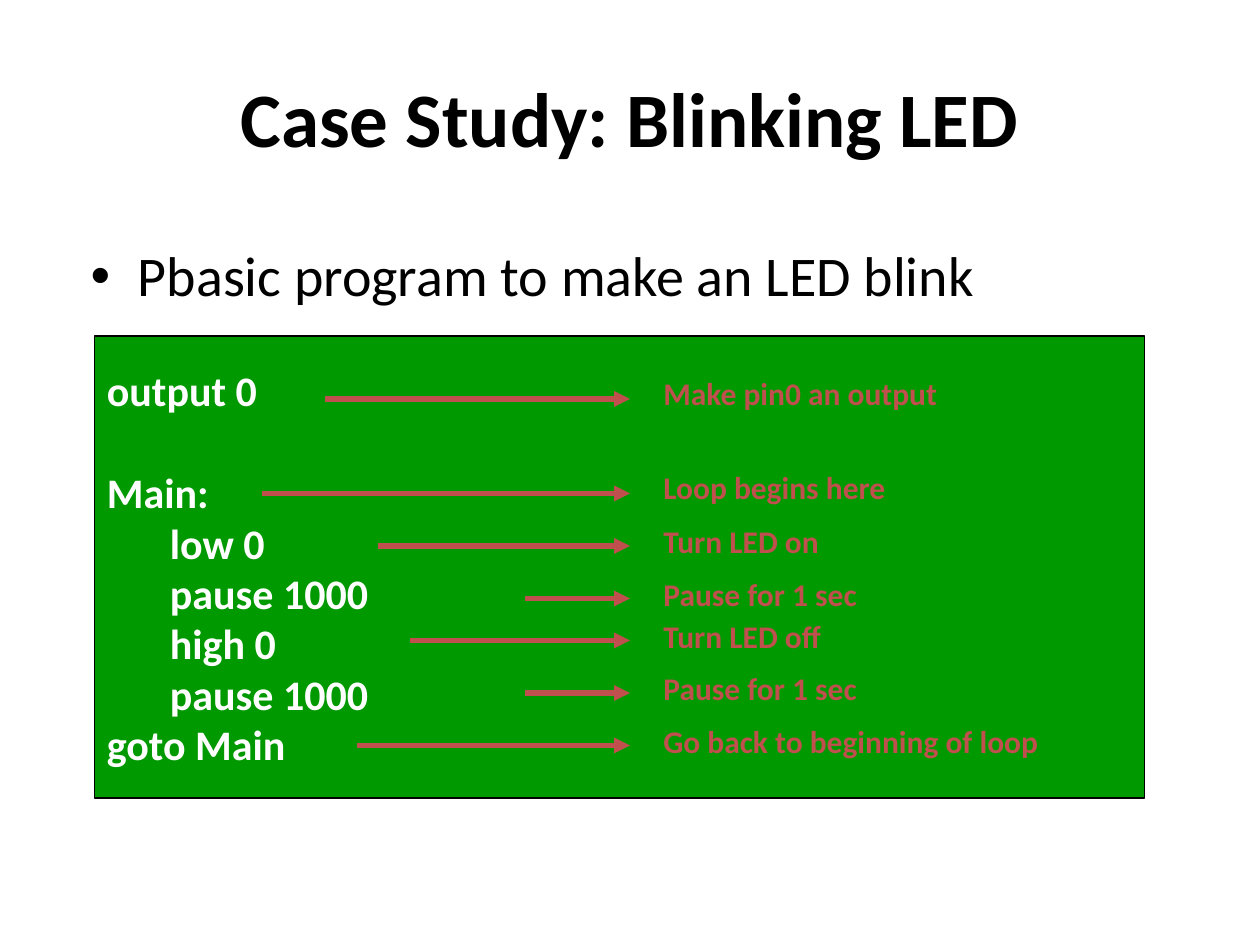
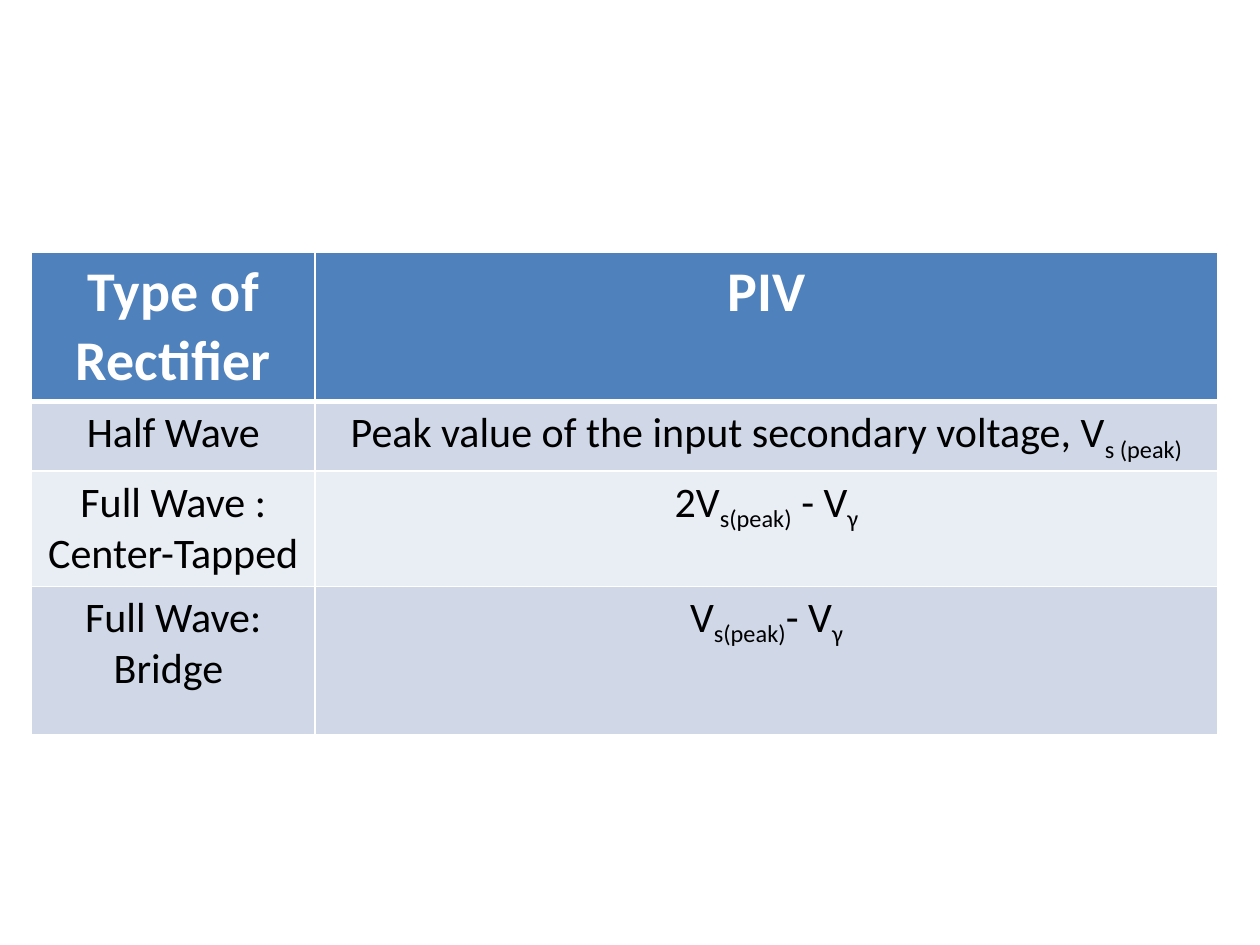
"""Builds two slides: an annotated LED program and a table of rectifier PIV values."""
from dataclasses import dataclass

from lxml.etree import SubElement
from pptx import Presentation
from pptx.dml.color import RGBColor
from pptx.enum.shapes import MSO_CONNECTOR, MSO_SHAPE
from pptx.enum.text import MSO_ANCHOR, MSO_AUTO_SIZE, PP_ALIGN
from pptx.oxml.ns import qn
from pptx.util import Pt

FONT = "Calibri"
COLORS = {
    "text": "000000",
    "white": "FFFFFF",
    "code": "009900",
    "note": "C0504D",
    "header": "4F81BD",
    "odd": "D0D8E8",
    "even": "E9EDF4",
}
ARROW_END = 360
NOTE_LEFT = 372
CODE_LINE_HEIGHT = 29.3


@dataclass(frozen=True)
class Note:
    text: str
    top: float
    arrow_start: float
    arrow_y: float
    width: float = 234
    height: float = 29


@dataclass(frozen=True)
class Span:
    text: str
    subscript: bool = False


CODE = ("output 0", "Main:", "\tlow 0", "\tpause 1000", "\thigh 0", "\tpause 1000", "goto Main")
NOTES = (
    Note("Make pin0 an output", 210, 186, 228),
    Note("Loop begins here", 264, 150, 282),
    Note("Turn LED on", 295, 216, 312),
    Note("Pause for 1 sec", 325, 300, 342),
    Note("Turn LED off", 349, 234, 366),
    Note("Pause for 1 sec", 379, 300, 396),
    Note("Go back to beginning of loop", 409, 204, 426, 288, 50),
)
PEAK = Span("s(peak)", True)
GAMMA = Span("γ", True)
RECTIFIERS = (
    ((Span("Type of Rectifier"),), (Span("PIV"),)),
    (
        (Span("Half Wave"),),
        (Span("Peak value of the input secondary voltage, V"), Span("s (peak)", True)),
    ),
    ((Span("Full Wave : Center-Tapped"),), (Span("2V"), PEAK, Span(" - V"), GAMMA)),
    ((Span("Full Wave: Bridge "),), (Span("V"), PEAK, Span("- V"), GAMMA)),
)
COLUMN_WIDTHS = (162, 516)
ROW_HEIGHTS = (84, 36, 65, 85)


def rgb(name: str) -> RGBColor:
    return RGBColor.from_string(COLORS[name])


def add_span(para, content: Span, size: float, color: str, bold: bool = False) -> None:
    span = para.add_run()
    span.text = content.text
    span.font.name = FONT
    span.font.size = Pt(size)
    span.font.bold = bold
    span.font.color.rgb = rgb(color)
    if content.subscript:
        span._r.get_or_add_rPr().set("baseline", "-25000")


def place(shape, left: float, top: float, width: float, height: float) -> None:
    shape.left, shape.top, shape.width, shape.height = map(Pt, (left, top, width, height))


def fill_placeholders(page, title: str, bullet: str) -> None:
    heading, body = page.shapes.title, page.placeholders[1]
    place(heading, 36, 21.6, 648, 90)
    place(body, 44.6, 138, 630, 42)
    for box in (heading, body):
        box.text_frame.auto_size = MSO_AUTO_SIZE.NONE
    heading.text_frame.vertical_anchor = MSO_ANCHOR.MIDDLE
    heading_para = heading.text_frame.paragraphs[0]
    heading_para.alignment = PP_ALIGN.CENTER
    add_span(heading_para, Span(title), 44, "text", True)
    para = body.text_frame.paragraphs[0]
    para.line_spacing = 0.9
    para.space_before = Pt(0)
    add_span(para, Span(bullet), 32, "text")


def add_code(page) -> None:
    box = page.shapes.add_shape(MSO_SHAPE.RECTANGLE, Pt(54), Pt(192), Pt(600), Pt(264))
    box.shadow.inherit = False
    box.fill.solid()
    box.fill.fore_color.rgb = rgb("code")
    box.line.color.rgb = rgb("text")
    box.line.width = Pt(0.75)
    frame = box.text_frame
    frame.word_wrap = True
    frame.vertical_anchor = MSO_ANCHOR.MIDDLE
    for index, line in enumerate(CODE):
        para = frame.add_paragraph() if index else frame.paragraphs[0]
        para.alignment = PP_ALIGN.LEFT
        if line == "Main:":
            para.space_before = Pt(CODE_LINE_HEIGHT)
        add_span(para, Span(line), 24, "white", True)


def add_note(page, note: Note) -> None:
    arrow = page.shapes.add_connector(
        MSO_CONNECTOR.STRAIGHT,
        Pt(note.arrow_start), Pt(note.arrow_y), Pt(ARROW_END), Pt(note.arrow_y),
    )
    arrow.line.color.rgb = rgb("note")
    arrow.line.width = Pt(3)
    SubElement(arrow.line._get_or_add_ln(), qn("a:tailEnd"), type="triangle")
    SubElement(arrow._element.spPr, qn("a:effectLst"))
    box = page.shapes.add_textbox(Pt(NOTE_LEFT), Pt(note.top), Pt(note.width), Pt(note.height))
    box.text_frame.word_wrap = True
    box.text_frame.auto_size = MSO_AUTO_SIZE.SHAPE_TO_FIT_TEXT
    add_span(box.text_frame.paragraphs[0], Span(note.text), 18, "note", True)


def add_borders(cell, row: int) -> None:
    widths = {"L": 1, "R": 1, "T": 3 if row == 1 else 1, "B": 3 if row == 0 else 1}
    for side, width in widths.items():
        line = SubElement(cell._tc.get_or_add_tcPr(), qn(f"a:ln{side}"), w=str(Pt(width)))
        solid = SubElement(line, qn("a:solidFill"))
        SubElement(solid, qn("a:srgbClr"), val=COLORS["white"])


def add_rectifier_table(page) -> None:
    table = page.shapes.add_table(
        len(ROW_HEIGHTS), len(COLUMN_WIDTHS),
        Pt(18), Pt(144), Pt(sum(COLUMN_WIDTHS)), Pt(sum(ROW_HEIGHTS)),
    ).table
    for column, width in zip(table.columns, COLUMN_WIDTHS):
        column.width = Pt(width)
    for row, (height, contents) in enumerate(zip(ROW_HEIGHTS, RECTIFIERS)):
        table.rows[row].height = Pt(height)
        is_header = row == 0
        fill = "header" if is_header else ("odd" if row % 2 else "even")
        for column, spans in enumerate(contents):
            cell = table.cell(row, column)
            add_borders(cell, row)
            cell.fill.solid()
            cell.fill.fore_color.rgb = rgb(fill)
            para = cell.text_frame.paragraphs[0]
            para.alignment = PP_ALIGN.CENTER
            for content in spans:
                add_span(para, content, 32 if is_header else 24,
                         "white" if is_header else "text", is_header)


def main() -> None:
    deck = Presentation()
    deck.slide_width, deck.slide_height = Pt(720), Pt(540)
    program = deck.slides.add_slide(deck.slide_layouts[1])
    fill_placeholders(program, "Case Study: Blinking LED", "Pbasic program to make an LED blink")
    add_code(program)
    for note in NOTES:
        add_note(program, note)
    add_rectifier_table(deck.slides.add_slide(deck.slide_layouts[6]))
    deck.save("out.pptx")


if __name__ == "__main__":
    main()
